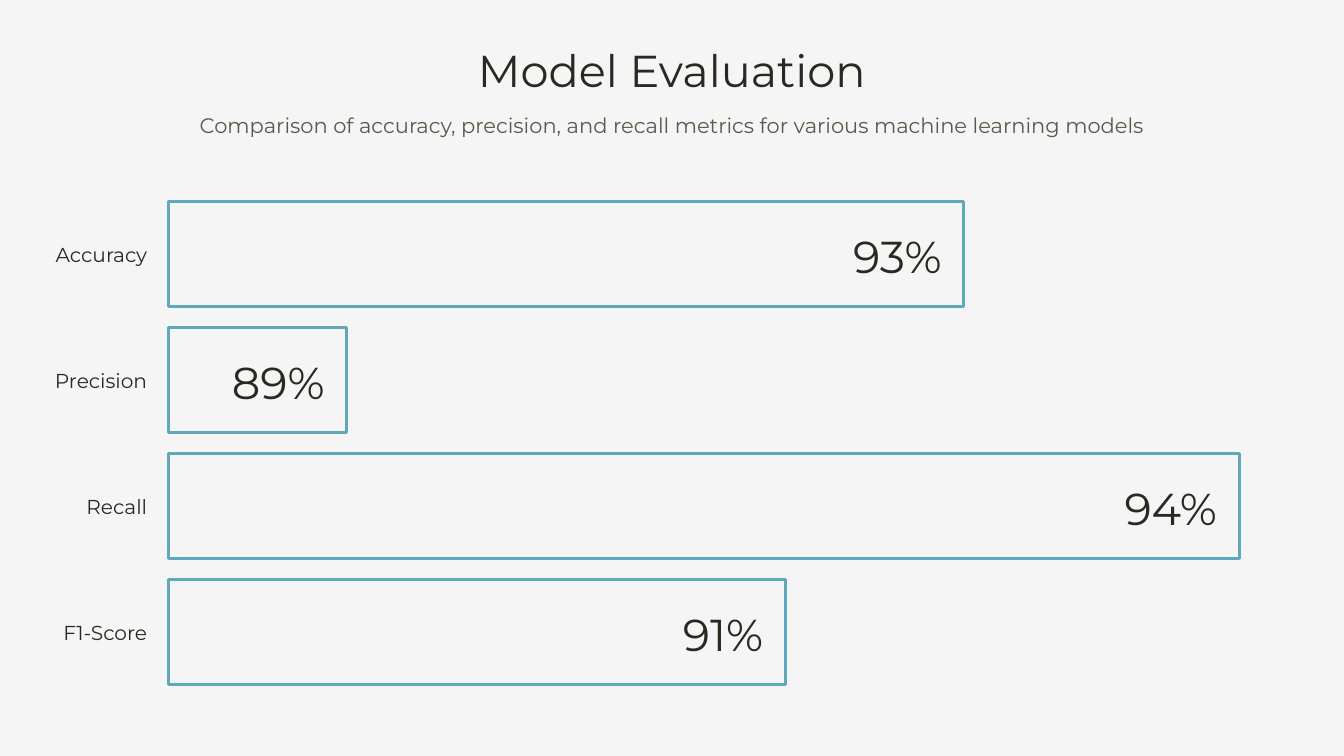
from pptx import Presentation
from pptx.dml.color import RGBColor
from pptx.enum.shapes import MSO_SHAPE
from pptx.enum.text import MSO_ANCHOR, PP_ALIGN
from pptx.util import Inches, Pt

RECTANGLE = MSO_SHAPE.RECTANGLE
TOP, MIDDLE = MSO_ANCHOR.TOP, MSO_ANCHOR.MIDDLE
CENTER, RIGHT = PP_ALIGN.CENTER, PP_ALIGN.RIGHT

BACKGROUND = RGBColor(0xF5, 0xF5, 0xF5)
DARK = RGBColor(0x2A, 0x29, 0x21)
MUTED = RGBColor(0x5A, 0x5A, 0x4C)
TEAL = RGBColor(0x62, 0xA8, 0xBB)

SLIDE_WIDTH = 13.33
BAR_LEFT, FIRST_BAR_TOP, BAR_HEIGHT, BAR_STEP = 1.67, 2, 1.04, 1.25
VALUE_WIDTH, VALUE_INSET = 1.02, 0.22

LARGE = {"size": Pt(31.9), "line": Pt(40.2), "color": DARK}
SMALL = {"size": Pt(15), "line": Pt(21), "color": MUTED}
LABEL = {"size": Pt(14.4), "line": Pt(18.1), "color": DARK}

METRICS = [
    ("Accuracy", "93%", 7.89),
    ("Precision", "89%", 1.77),
    ("Recall", "94%", 10.62),
    ("F1-Score", "91%", 6.12),
]


def add_text(text, left, top, width, height, style, alignment, anchor=TOP):
    frame = slide.shapes.add_textbox(
        Inches(left), Inches(top), Inches(width), Inches(height)
    ).text_frame
    frame_format = {
        "margin_left": 0, "margin_right": 0, "margin_top": 0, "margin_bottom": 0,
        "word_wrap": True, "vertical_anchor": anchor,
    }
    for attribute, value in frame_format.items():
        setattr(frame, attribute, value)
    paragraph = frame.paragraphs[0]
    paragraph.alignment = alignment
    paragraph.line_spacing = style["line"]
    run = paragraph.add_run()
    run.text = text
    run.font.name = "Montserrat"
    run.font.size = style["size"]
    run.font.color.rgb = style["color"]


presentation = Presentation()
presentation.slide_width = Inches(SLIDE_WIDTH)
presentation.slide_height = Inches(7.5)
slide = presentation.slides.add_slide(presentation.slide_layouts[6])
slide.background.fill.solid()
slide.background.fill.fore_color.rgb = BACKGROUND

add_text("Model Evaluation", 0, 0.4, SLIDE_WIDTH, 0.56, LARGE, CENTER)
add_text(
    "Comparison of accuracy, precision, and recall metrics for various machine learning models",
    0, 1.07, SLIDE_WIDTH, 0.29, SMALL, CENTER,
)

for row, (metric, score, bar_width) in enumerate(METRICS):
    bar_top = FIRST_BAR_TOP + row * BAR_STEP
    bar = slide.shapes.add_shape(
        RECTANGLE, Inches(BAR_LEFT), Inches(bar_top), Inches(bar_width), Inches(BAR_HEIGHT)
    )
    bar.shadow.inherit = False
    bar.fill.background()
    bar.line.color.rgb = TEAL
    bar.line.width = Pt(2)

    add_text(metric, 0.43, bar_top + 0.39, 1.03, 0.25, LABEL, RIGHT)
    score_left = BAR_LEFT + bar_width - VALUE_INSET - VALUE_WIDTH
    add_text(score, score_left, bar_top + 0.24, VALUE_WIDTH, 0.56, LARGE, RIGHT, MIDDLE)

presentation.save("out.pptx")
